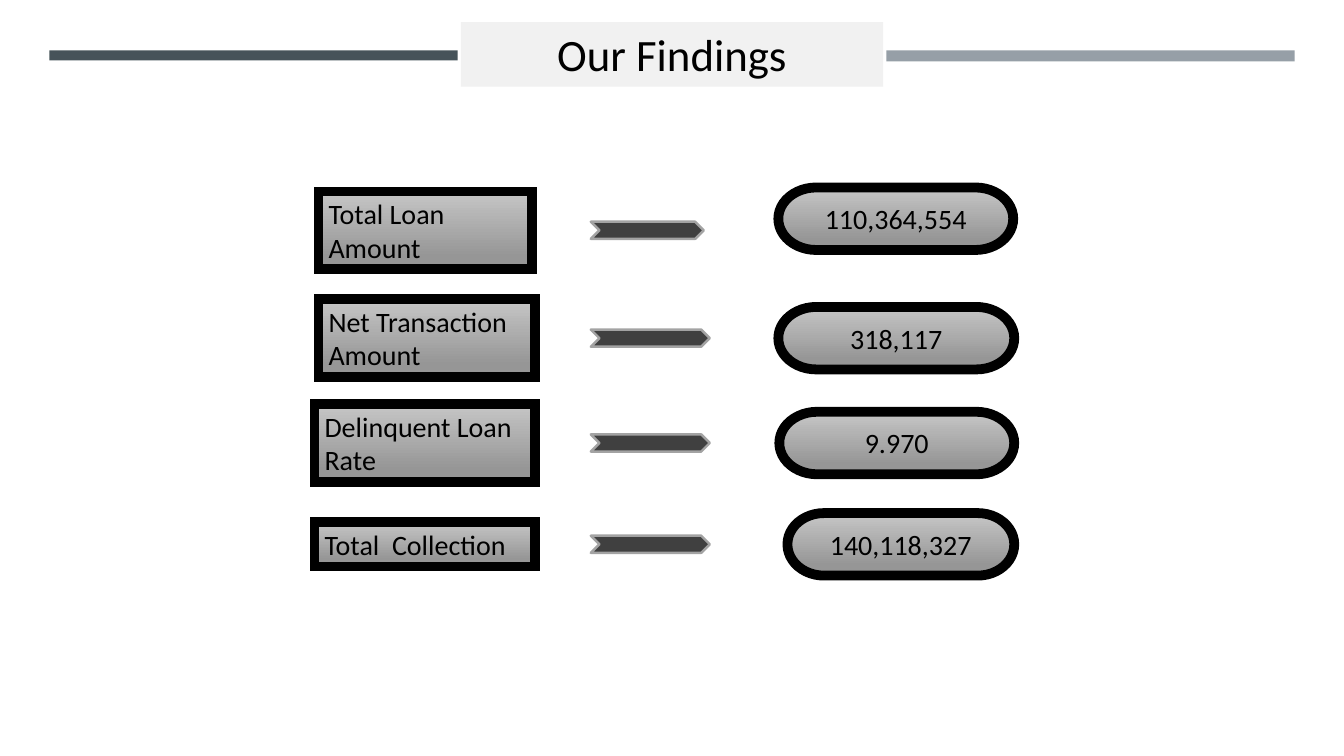
from dataclasses import dataclass

from lxml import etree
from pptx import Presentation
from pptx import util as u
from pptx.dml.color import RGBColor
from pptx.enum import shapes, text
from pptx.oxml.ns import qn

CELL = 0.1  # inches per grid cell, both across and down


@dataclass(frozen=True)
class Theme:
    font: str = "Calibri"
    title_size: int = 32
    body_size: int = 20
    ink: str = "000000"
    title_fill: str = "F1F1F1"
    rule_left: str = "465359"
    rule_right: str = "969FA7"
    gradient: tuple = (("C6C6C6", 0.0), ("969696", 0.84))
    frame_width: float = 7
    arrow: str = "404040"
    arrow_edge: str = "A3A3A3"
    arrow_edge_width: float = 1.75


@dataclass(frozen=True)
class Finding:
    """One row; all lengths in grid cells."""
    label: str
    value: str
    middle: float
    label_left: float
    label_width: float
    label_height: float
    arrow_width: float
    pill_left: float
    pill_width: float
    pill_shift: float = 0


THEME = Theme()
ARROW_LEFT, ARROW_HEIGHT, PILL_HEIGHT = 58.6, 1.7, 6.2

FINDINGS = [
    Finding("Total Loan Amount", "110,364,554", 22.85, 31.6, 21.2, 7.7, 11.2, 77.2, 23.3, -1.15),
    Finding("Net Transaction Amount", "318,117", 33.55, 31.6, 21.5, 7.7, 11.8, 77.2, 23.4),
    Finding("Delinquent Loan Rate", "9.970", 43.95, 31.2, 21.9, 7.7, 11.8, 77.3, 23.3),
    Finding("Total  Collection", "140,118,327", 54.0, 31.2, 21.9, 4.4, 11.8, 78.1, 22.5),
]


def cells(count: float) -> u.Length:
    return u.Inches(count * CELL)


def add_block(s, kind, left: float, top: float, width: float, height: float, fill: str = ""):
    sp = s.shapes.add_shape(kind, cells(left), cells(top), cells(width), cells(height))
    sp.shadow.inherit = False
    sp.line.fill.background()
    if fill:
        sp.fill.solid()
        sp.fill.fore_color.rgb = RGBColor.from_string(fill)
    return sp


def set_line(sp, color: str, width: float) -> None:
    sp.line.color.rgb = RGBColor.from_string(color)
    sp.line.width = u.Pt(width)


def set_frame(sp) -> None:
    """Grey gradient running downwards inside a heavy, square-cornered line."""
    sp.fill.gradient()
    sp.fill.gradient_angle = 270
    for stop, (color, position) in zip(sp.fill.gradient_stops, THEME.gradient):
        stop.color.rgb = RGBColor.from_string(color)
        stop.position = position
    set_line(sp, THEME.ink, THEME.frame_width)
    etree.SubElement(sp.line._get_or_add_ln(), qn("a:miter"), lim="800000")


def write(sp, words: str, size: int, align) -> None:
    tf = sp.text_frame
    tf.word_wrap = True
    tf.auto_size = text.MSO_AUTO_SIZE.SHAPE_TO_FIT_TEXT
    tf.vertical_anchor = text.MSO_ANCHOR.TOP
    p = tf.paragraphs[0]
    p.alignment = align
    r = p.add_run()
    r.text = words
    r.font.name = THEME.font
    r.font.size = u.Pt(size)
    r.font.color.rgb = RGBColor.from_string(THEME.ink)


def add_header(s) -> None:
    rect = shapes.MSO_SHAPE.RECTANGLE
    add_block(s, rect, 4.9, 5, 40.5, 1, THEME.rule_left)
    add_block(s, rect, 87.9, 5, 40.5, 1.1, THEME.rule_right)
    title = add_block(s, rect, 45.7, 2.2, 41.9, 6.4, THEME.title_fill)
    write(title, "Our Findings", THEME.title_size, text.PP_ALIGN.CENTER)


def add_finding(s, row: Finding) -> None:
    kind = shapes.MSO_SHAPE
    # Label
    label = add_block(s, kind.RECTANGLE, row.label_left, row.middle - row.label_height / 2,
                      row.label_width, row.label_height)
    set_frame(label)
    write(label, row.label, THEME.body_size, text.PP_ALIGN.LEFT)
    # Arrow
    arrow = add_block(s, kind.CHEVRON, ARROW_LEFT, row.middle - ARROW_HEIGHT / 2,
                      row.arrow_width, ARROW_HEIGHT, THEME.arrow)
    set_line(arrow, THEME.arrow_edge, THEME.arrow_edge_width)
    # Value
    pill = add_block(s, kind.FLOWCHART_TERMINATOR, row.pill_left,
                     row.middle + row.pill_shift - PILL_HEIGHT / 2, row.pill_width, PILL_HEIGHT)
    set_frame(pill)
    write(pill, row.value, THEME.body_size, text.PP_ALIGN.CENTER)


def main() -> None:
    prs = Presentation()
    prs.slide_width, prs.slide_height = u.Inches(13.33), u.Inches(7.5)
    s = prs.slides.add_slide(prs.slide_layouts[6])
    add_header(s)
    for row in FINDINGS:
        add_finding(s, row)
    prs.save("out.pptx")


if __name__ == "__main__":
    main()
